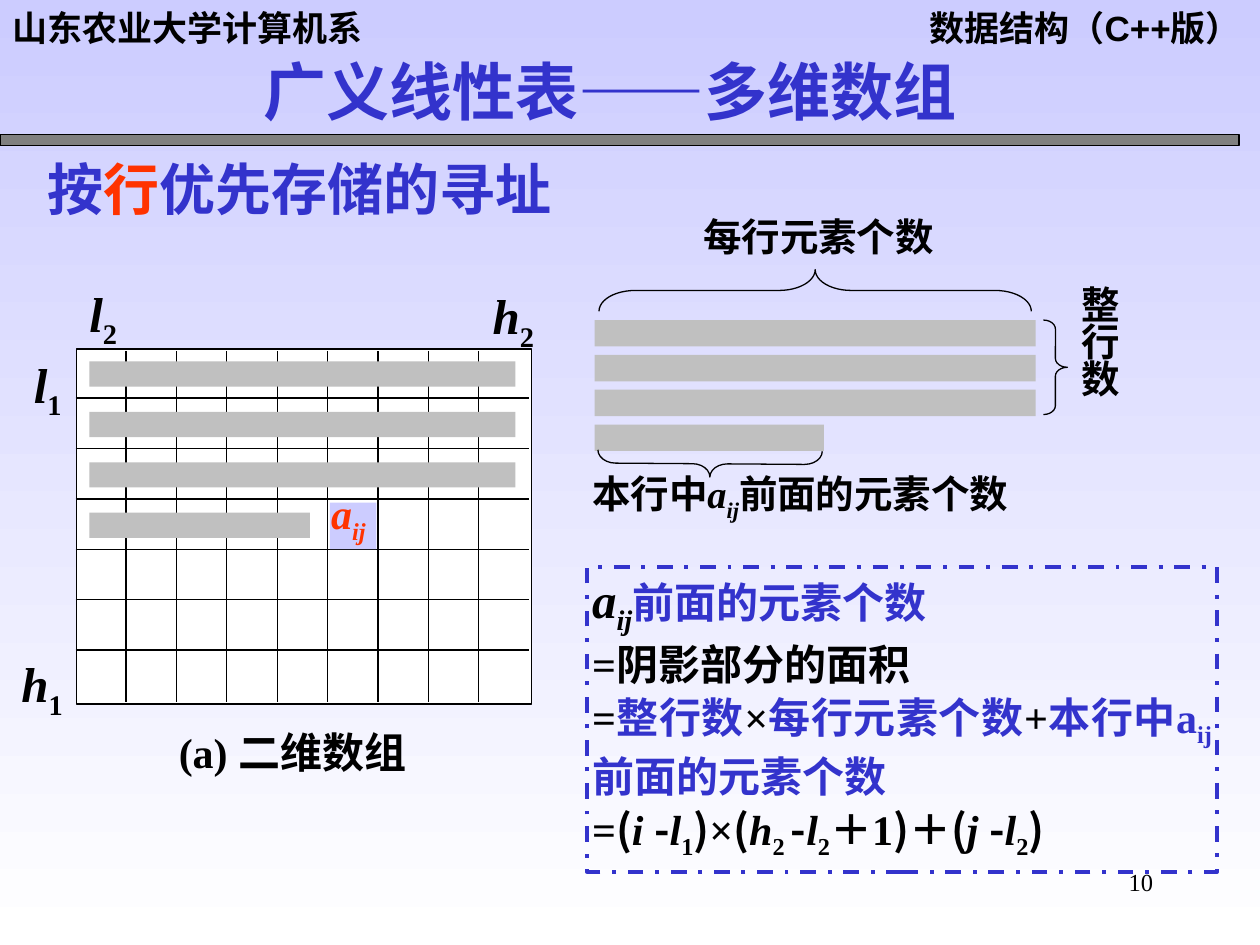
from dataclasses import dataclass

from lxml.etree import SubElement
from pptx import Presentation
from pptx.dml.color import RGBColor
from pptx.enum.dml import MSO_LINE_DASH_STYLE as Dash
from pptx.enum.shapes import MSO_CONNECTOR, MSO_SHAPE as Shape
from pptx.enum.text import MSO_ANCHOR, MSO_AUTO_SIZE, PP_ALIGN as Align
from pptx.oxml import parse_xml
from pptx.oxml.ns import nsdecls, qn
from pptx.util import Pt

COLORS = {"ink": "000000", "blue": "3333CC", "red": "FF3300", "bar": "C0C0C0",
          "rule": "808080", "sky": "CCCCFF", "white": "FFFFFF"}
SERIF, SANS, CJK = "Times New Roman", "Arial", "Noto Sans CJK SC"
PITCH = 28.8


@dataclass
class Span:
    text: str
    color: str = "ink"
    italic: bool = False
    sub: bool = False
    font: str = SERIF
    size: float = 0
    bold: bool = True


def rgb(name):
    return RGBColor.from_string(COLORS[name])


def write(shape, paras, size, align=Align.JUSTIFY, insets=(0, 0), spacing=None):
    """Fill a shape with paragraphs, each a list of spans; insets are (side, top)."""
    frame = shape.text_frame
    frame.word_wrap = True
    frame.auto_size = MSO_AUTO_SIZE.NONE
    frame.vertical_anchor = MSO_ANCHOR.TOP
    frame.margin_left = frame.margin_right = Pt(insets[0])
    frame.margin_top = frame.margin_bottom = Pt(insets[1])
    for index, spans in enumerate(paras):
        para = frame.add_paragraph() if index else frame.paragraphs[0]
        para.alignment = align
        para.space_before = Pt(0)
        if spacing:
            para.line_spacing = spacing
        for span in spans:
            run = para.add_run()
            run.text = span.text
            font = run.font
            font.size = Pt(span.size or size)
            font.bold, font.italic = span.bold, span.italic
            font.color.rgb = rgb(span.color)
            font.name = span.font
            props = run._r.get_or_add_rPr()
            SubElement(props, qn("a:ea")).set("typeface", CJK)
            if span.sub:
                props.set("baseline", "-25000")


def add_text(page, box, spans, size, **options):
    shape = page.shapes.add_textbox(*map(Pt, box))
    write(shape, [spans], size, **options)


def add_shape(page, kind, box, fill=None, line=None, width=0.75):
    shape = page.shapes.add_shape(kind, *map(Pt, box))
    shape.shadow.inherit = False
    if fill:
        shape.fill.solid()
        shape.fill.fore_color.rgb = rgb(fill)
    else:
        shape.fill.background()
    if line:
        shape.line.color.rgb = rgb(line)
        shape.line.width = Pt(width)
    else:
        shape.line.fill.background()
    return shape


def add_line(page, *ends):
    line = page.shapes.add_connector(MSO_CONNECTOR.STRAIGHT, *map(Pt, ends))
    line.line.color.rgb = rgb("ink")
    line.line.width = Pt(0.75)
    SubElement(line._element.spPr, qn("a:effectLst"))


def add_brace(page, kind, center, size, curve, turn=0):
    (x, y), (width, height) = center, size
    brace = add_shape(page, kind, (x - width / 2, y - height / 2, width, height), line="ink")
    brace.adjustments[0] = curve
    brace.rotation = turn


def add_bars(page, left, top, size, pitch, last_width):
    """Three full rows and one partial row."""
    width, height = size
    for row, length in enumerate([width] * 3 + [last_width]):
        add_shape(page, Shape.RECTANGLE, (left, top + row * pitch, length, height), fill="bar")


def paint_background(page):
    fill = page.background.fill
    fill.gradient()
    fill.gradient_angle = 270
    for stop, position, color in zip(fill.gradient_stops, (0, 1), ("sky", "white")):
        stop.position = position
        stop.color.rgb = rgb(color)


def build_header(page, left, top, width):
    add_text(page, (left + 521.3, top, 195, 55), [Span("数据结构（C++版）", font=SANS)], 20,
             align=Align.RIGHT, insets=(7.2, 3.6))
    add_text(page, (left, top, 219, 32), [Span("山东农业大学计算机系", font=SANS)], 20,
             align=Align.LEFT, insets=(7.2, 3.6))
    add_shape(page, Shape.RECTANGLE, (left, top + 77, width, 6), "rule", "ink")
    title = page.shapes.title
    title.left, title.top, title.width, title.height = map(
        Pt, (left + 143.3, top + 26.6, 451.4, 50.4))
    write(title, [[Span("广义线性表——多维数组", "blue", font=CJK)]], 36,
          align=Align.LEFT, insets=(7.2, 3.6))
    props = title.text_frame.paragraphs[0].runs[0]._r.rPr
    props.find(qn("a:solidFill")).addnext(parse_xml(
        f'<a:effectLst {nsdecls("a")}><a:outerShdw dist="25400" dir="2700000">'
        f'<a:srgbClr val="{COLORS["rule"]}"/></a:outerShdw></a:effectLst>'))


def build_matrix(page, left, top, width, height):
    """The grid, its index bounds, the shaded elements and the sought element."""
    add_shape(page, Shape.RECTANGLE, (left, top, width, height), "white", "ink")
    for row in range(6):
        y = top + 28.1 + row * PITCH
        add_line(page, left - 0.7, y, left + width - 1.4, y)
    for column in range(8):
        x = left + 28.1 + column * PITCH
        add_line(page, x, top + 1.4, x, top + height - 1.4)
    add_bars(page, left + 7.2, top + 7.2, (243.4, 14.4), PITCH, 126)
    bounds = [("l", "2", 7.2, -37.4), ("h", "2", 237.6, -36),
              ("l", "1", -24.5, 2.9), ("h", "1", -31.7, 174.3)]
    for letter, digit, dx, dy in bounds:
        add_text(page, (left + dx, top + dy, 30, 29),
                 [Span(letter, italic=True), Span(digit, sub=True)], 28)
    add_text(page, (left + 58.3, top + 216, 163.4, 46.8), [Span("(a) 二维数组")], 24)
    add_shape(page, Shape.RECTANGLE, (left + 144.7, top + 87.9, 26.6, 26.6), fill="sky")
    add_text(page, (left + 141, top + 78.5, 38.9, 34.6),
             [Span("a", "red", True), Span("ij", "red", True, True)], 24,
             align=Align.LEFT, insets=(4.3, 0.7))


def build_storage(page, left, top, width):
    """The rows stored before the element, with braces that count them."""
    add_text(page, (left - 1.4, top + 85.7, 281, 33),
             [Span("本行中"), Span("a", italic=True), Span("ij", italic=True, sub=True),
              Span("前面的元素个数")], 22)
    add_bars(page, left, top, (width, 15.1), 19.9, 131)
    add_brace(page, Shape.RIGHT_BRACE, (left + width + 11.3, top + 27), (13.7, 54), 0.37)
    add_brace(page, Shape.LEFT_BRACE, (left + width / 2, top - 16.9), (23.8, 247), 0.87, 90)
    add_brace(page, Shape.LEFT_BRACE, (left + 65.9, top + 82.1), (15.1, 128.2), 0.67, 270.4)
    add_text(page, (left + 62, top - 61.2, 180.7, 27.4), [Span("每行元素个数")], 22)
    add_text(page, (left + width + 26, top - 17.3, 27.4, 79.2), [Span("整行数")], 22,
             spacing=0.8)


def build_formula(page, *box):
    frame = add_shape(page, Shape.RECTANGLE, box, line="blue", width=2.25)
    frame.line.dash_style = Dash.DASH_DOT
    opening, closing, minus = (Span(mark, font=CJK) for mark in "()-")
    lower_column = [minus, Span("l", italic=True), Span("2", sub=True)]
    write(frame, [
        [Span("a", italic=True, size=28), Span("ij", italic=True, sub=True, size=28),
         Span("前面的元素个数", "blue")],
        [Span("=阴影部分的面积")],
        [Span("="), Span("整行数", "blue"), Span("×"), Span("每行元素个数", "blue"),
         Span("+"), Span("本行中a", "blue"), Span("ij", "blue", sub=True),
         Span("前面的元素个数", "blue")],
        [Span("="), opening, Span("i ", italic=True), minus, Span("l", italic=True),
         Span("1", sub=True), closing, Span("×"), opening, Span("h", italic=True),
         Span("2 ", sub=True), *lower_column, Span("＋1"), closing, Span("＋"),
         opening, Span("j ", italic=True), *lower_column, closing],
    ], 24, insets=(2.9, 0), spacing=1.04)


def main():
    deck = Presentation()
    deck.slide_width, deck.slide_height = Pt(720), Pt(540)
    page = deck.slides.add_slide(deck.slide_layouts[5])
    paint_background(page)
    build_header(page, 0, 0, 708)
    add_text(page, (516.2, 491.8, 149.8, 36), [Span("10", bold=False)], 14,
             align=Align.RIGHT, insets=(7.2, 3.6))
    build_matrix(page, 43.9, 199.4, 260, 203)
    build_formula(page, 335.5, 324, 360, 174.2)
    build_storage(page, 339.8, 182.9, 252)
    add_text(page, (20.2, 85, 635.8, 46),
             [Span("按", "blue"), Span("行", "red"), Span("优先存储的寻址", "blue")], 32,
             align=Align.LEFT, insets=(7.2, 3.6))
    deck.save("out.pptx")


if __name__ == "__main__":
    main()
